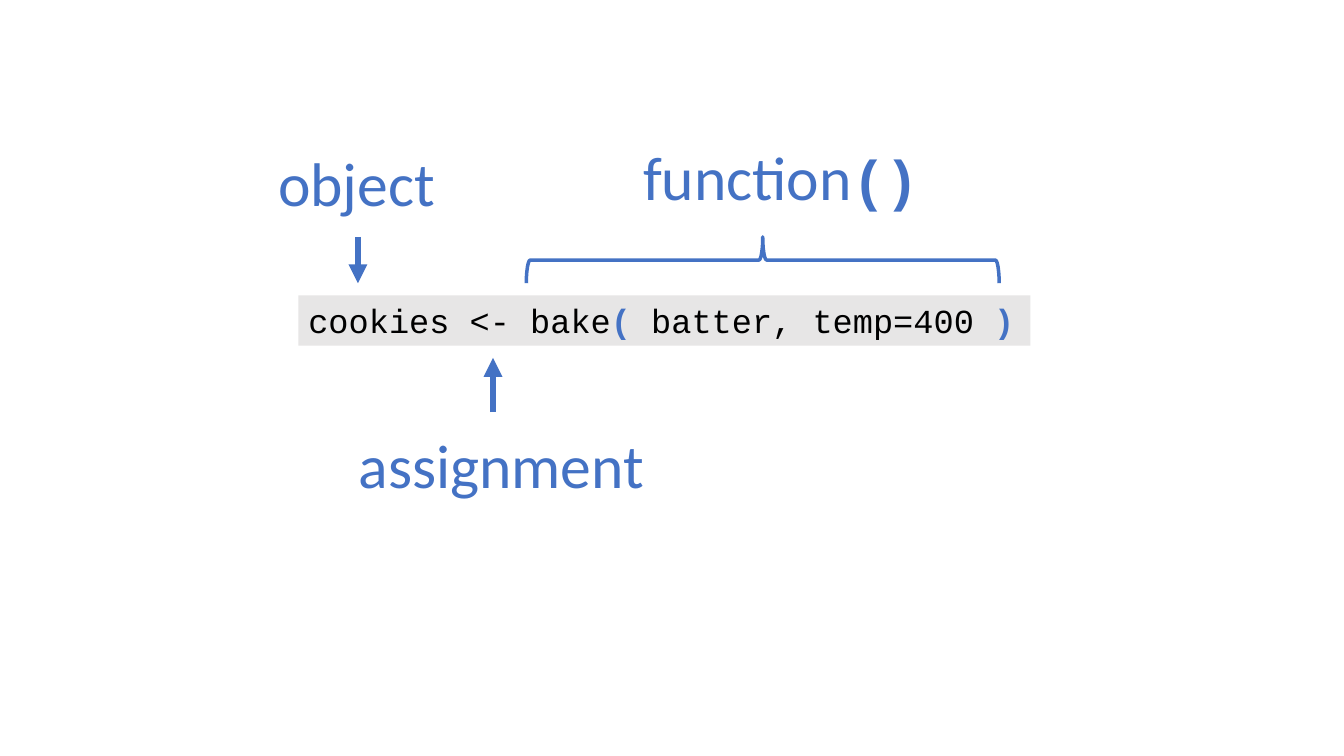
from lxml import etree
from pptx import Presentation
from pptx.dml.color import RGBColor
from pptx.enum.shapes import MSO_CONNECTOR, MSO_SHAPE
from pptx.enum.text import MSO_ANCHOR, MSO_AUTO_SIZE, PP_ALIGN
from pptx.oxml.ns import qn
from pptx.util import Pt

EMU_PER_PX = 9144  # 100 px to the inch
SLIDE_SIZE = (1333, 750)
COLORS = {"accent": "4472C4", "code": "000000", "band": "E7E6E6"}
LABEL_FONT, CODE_FONT = "Calibri", "Courier New"

# Runs: text, font, size, color, bold
CODE_BOX = (296, 293, 726, 50)
CODE_RUNS = [
    ("cookies <- bake", CODE_FONT, 24, "code", False),
    ("(", CODE_FONT, 24, "accent", True),
    (" batter, temp=400 ", CODE_FONT, 24, "code", False),
    (")", CODE_FONT, 24, "accent", True),
]
LABELS = [
    ((266, 139, 177, 84), [("object", LABEL_FONT, 44, "accent", False)]),
    ((346, 419, 306, 84), [("assignment", LABEL_FONT, 44, "accent", False)]),
    ((628, 133, 297, 84), [("function", LABEL_FONT, 44, "accent", False),
                           ("()", CODE_FONT, 40, "accent", True)]),
]
ARROWS = [(355, 235, 281), (489, 409, 355)]  # x, start y, tip y
CALL_BRACE = (522, 235, 469, 46)  # as seen, opening downwards


def px(*values):
    return [round(value * EMU_PER_PX) for value in values]


def color(name):
    return RGBColor.from_string(COLORS[name])


def write_text(shape, runs, align=PP_ALIGN.LEFT, anchor=MSO_ANCHOR.TOP):
    frame = shape.text_frame
    frame.word_wrap = False
    frame.auto_size = MSO_AUTO_SIZE.SHAPE_TO_FIT_TEXT
    frame.vertical_anchor = anchor
    paragraph = frame.paragraphs[0]
    paragraph.alignment = align
    for text, font, size, color_name, bold in runs:
        run = paragraph.add_run()
        run.text = text
        run.font.name = font
        run.font.size = Pt(size)
        run.font.bold = bold
        run.font.color.rgb = color(color_name)


def add_code(slide):
    shape = slide.shapes.add_shape(MSO_SHAPE.RECTANGLE, *px(*CODE_BOX))
    shape.shadow.inherit = False
    shape.fill.solid()
    shape.fill.fore_color.rgb = color("band")
    shape.line.fill.background()
    write_text(shape, CODE_RUNS)


def add_brace(slide):
    """Turn a right brace a quarter left about the centre of its visible box."""
    left, top, width, height = CALL_BRACE
    offset = (width - height) / 2
    brace = slide.shapes.add_shape(
        MSO_SHAPE.RIGHT_BRACE, *px(left + offset, top - offset, height, width))
    brace.rotation = 270
    brace.shadow.inherit = False
    brace.fill.background()
    brace.line.color.rgb = color("accent")
    brace.line.width = Pt(2.5)


def add_arrow(slide, x, start, tip):
    arrow = slide.shapes.add_connector(MSO_CONNECTOR.STRAIGHT, *px(x, start, x, tip))
    arrow.line.color.rgb = color("accent")
    arrow.line.width = Pt(4.5)
    etree.SubElement(arrow.line._get_or_add_ln(), qn("a:tailEnd"), type="triangle")
    etree.SubElement(arrow._element.spPr, qn("a:effectLst"))


def main():
    presentation = Presentation()
    presentation.slide_width, presentation.slide_height = px(*SLIDE_SIZE)
    slide = presentation.slides.add_slide(presentation.slide_layouts[6])
    add_code(slide)
    for box, runs in LABELS:
        write_text(slide.shapes.add_textbox(*px(*box)), runs)
    add_brace(slide)
    for x, start, tip in ARROWS:
        add_arrow(slide, x, start, tip)
    presentation.save("out.pptx")


if __name__ == "__main__":
    main()
